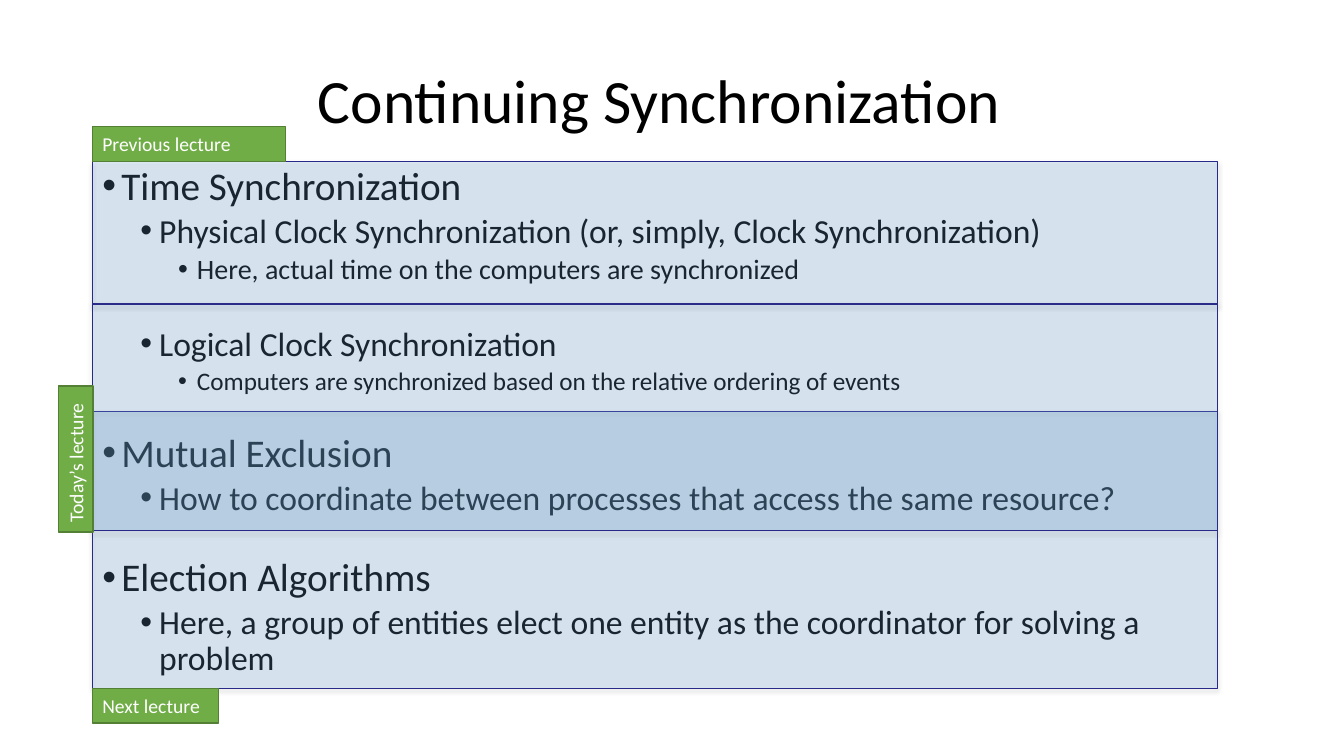
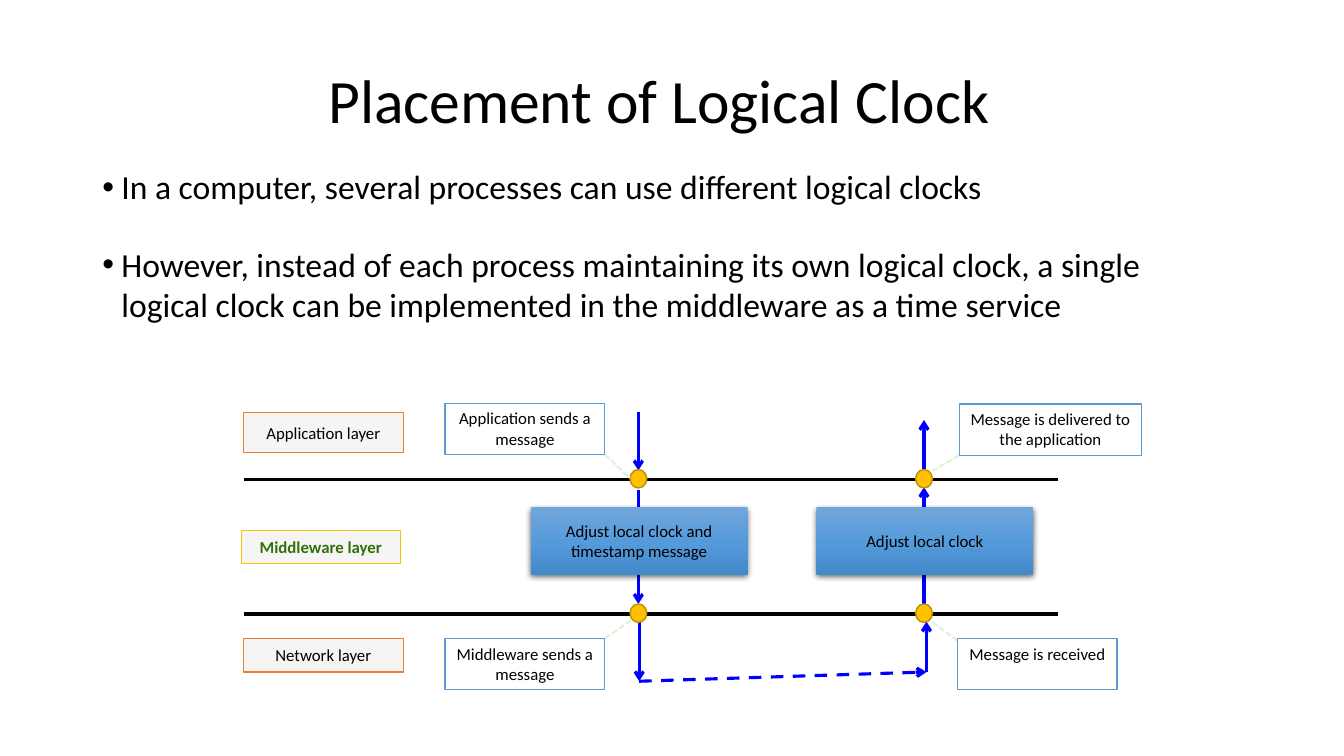
from copy import deepcopy
from lxml import etree
from pptx import Presentation
from pptx import util as u
from pptx.dml.color import RGBColor
from pptx.enum import dml, shapes, text
from pptx.oxml.ns import qn

# Colours
BLACK = RGBColor(0x00, 0x00, 0x00)
WHITE = RGBColor(0xFF, 0xFF, 0xFF)
BLUE = RGBColor(0x5B, 0x9B, 0xD5)
NAVY = RGBColor(0x29, 0x29, 0x89)
GREEN = RGBColor(0x70, 0xAD, 0x47)
DARK_GREEN = RGBColor(0x53, 0x80, 0x35)
TEXT_GREEN = RGBColor(0x33, 0x6F, 0x0A)
PALE_GREEN = RGBColor(0xE2, 0xF0, 0xD9)
GREY = RGBColor(0xF5, 0xF5, 0xF5)
ORANGE = RGBColor(0xED, 0x7D, 0x31)
GOLD = RGBColor(0xFF, 0xC0, 0x00)
DARK_GOLD = RGBColor(0xBD, 0x8E, 0x00)
ARROW_BLUE = RGBColor(0x00, 0x00, 0xFF)
GRADIENT = [(0, RGBColor(0x71, 0xA6, 0xDB)), (0.5, RGBColor(0x55, 0x9B, 0xDB)),
            (1, RGBColor(0x44, 0x8A, 0xCA))]

# Grid: 160 columns by 90 rows of square cells
CELL = u.Inches(1) / 12
FONT = "Calibri"
TITLE_AREA = (23, 3.6, 111, 17.4)
LEFT, BODY_TOP = 11, 19.2
RECT, OVAL = shapes.MSO_SHAPE.RECTANGLE, shapes.MSO_SHAPE.OVAL
TOP, MIDDLE = text.MSO_ANCHOR.TOP, text.MSO_ANCHOR.MIDDLE
CENTER, START = text.PP_ALIGN.CENTER, text.PP_ALIGN.LEFT
PANEL_SHADOW = ("808080", 38, 3.1, 1.6)
STEP_SHADOW = ("000000", 63, 4.5, 1.5)


def box(slide, area, fill, edge=None, weight=1, words="", size=12, color=BLACK,
        bold=False, anchor=MIDDLE, align=CENTER, kind=RECT, alpha=None, shadow=None):
    shape = slide.shapes.add_shape(kind, *(round(n * CELL) for n in area))
    shape.shadow.inherit = False
    properties = shape.element.spPr
    if isinstance(fill, list):
        shape.fill.gradient()
        shape.fill.gradient_angle = 270
        stop_list = properties.find(qn("a:gradFill")).find(qn("a:gsLst"))
        stop_list.insert(1, deepcopy(stop_list[0]))
        for stop, (position, shade) in zip(shape.fill.gradient_stops, fill):
            stop.position, stop.color.rgb = position, shade
    else:
        shape.fill.solid()
        shape.fill.fore_color.rgb = fill
    if alpha:
        solid = properties.find(qn("a:solidFill"))
        etree.SubElement(solid[0], qn("a:alpha"), val=str(alpha * 1000))
    if edge is None:
        shape.line.fill.background()
    else:
        shape.line.color.rgb = edge
        shape.line.width = u.Pt(weight)
    if shadow:
        shade, opacity, blur, distance = shadow
        outer = etree.SubElement(properties.find(qn("a:effectLst")), qn("a:outerShdw"),
                                 blurRad=str(u.Pt(blur)), dist=str(u.Pt(distance)),
                                 dir="5400000", algn="t", rotWithShape="0")
        tone = etree.SubElement(outer, qn("a:srgbClr"), val=shade)
        etree.SubElement(tone, qn("a:alpha"), val=str(opacity * 1000))
    if words:
        frame = shape.text_frame
        frame.text, frame.vertical_anchor = words, anchor
        paragraph = frame.paragraphs[0]
        paragraph.alignment = align
        paragraph.font.color.rgb = color
        for name, value in {"name": FONT, "size": u.Pt(size), "bold": bold}.items():
            setattr(paragraph.font, name, value)
    return shape


def line(slide, start, end, color, weight, dash=None, arrow=False):
    connector = slide.shapes.add_connector(
        shapes.MSO_CONNECTOR.STRAIGHT, *(round(n * CELL) for n in (*start, *end)))
    connector.line.color.rgb = color
    connector.line.width = u.Pt(weight)
    if dash:
        connector.line.dash_style = dash
    properties = connector.element.spPr
    if arrow:
        etree.SubElement(properties.find(qn("a:ln")), qn("a:tailEnd"), type="arrow")
    etree.SubElement(properties, qn("a:effectLst"))


prs = Presentation()
prs.slide_width, prs.slide_height = round(160 * CELL), round(90 * CELL)

# Titles and lists: (level, size, space before, words)
pages = [
    ("Continuing Synchronization", (LEFT, BODY_TOP, 134, 69),
     {"line_spacing": 0.9, "space_after": u.Pt(0)}, [
        (0, 28, 7.5, "Time Synchronization"),
        (1, 24, 3.8, "Physical Clock Synchronization (or, simply, Clock Synchronization)"),
        (2, 20, 3.8, "Here, actual time on the computers are synchronized"),
        (1, 24, 29.6, "Logical Clock Synchronization"),
        (2, 18, 3.8, "Computers are synchronized based on the relative ordering of events"),
        (0, 28, 26.7, "Mutual Exclusion"),
        (1, 24, 3.8, "How to coordinate between processes that access the same resource?"),
        (0, 28, 28.9, "Election Algorithms"),
        (1, 24, 3.8, "Here, a group of entities elect one entity as the coordinator "
                     "for solving a problem")]),
    ("Placement of Logical Clock", (LEFT, BODY_TOP, 136, 59.4),
     {"line_spacing": 1.0, "space_after": u.Pt(6)}, [
        (0, 24, 6, "In a computer, several processes can use different logical clocks"),
        (0, 24, 20.4, "However, instead of each process maintaining its own logical clock, "
                      "a single logical clock can be implemented in the middleware as a "
                      "time service")]),
]
for heading, body_area, spacing, items in pages:
    slide = prs.slides.add_slide(prs.slide_layouts[1])
    title, body = slide.shapes.title, slide.placeholders[1]
    for holder, area, anchor in ((title, TITLE_AREA, MIDDLE), (body, body_area, TOP)):
        for side, cells in zip(("left", "top", "width", "height"), area):
            setattr(holder, side, round(cells * CELL))
        holder.text_frame.auto_size = text.MSO_AUTO_SIZE.NONE
        holder.text_frame.vertical_anchor = anchor
    title.text_frame.text = heading
    title_line = title.text_frame.paragraphs[0]
    title_line.alignment, title_line.line_spacing = CENTER, 0.9
    title_line.font.name, title_line.font.size = FONT, u.Pt(44)
    title_line.font.color.rgb = BLACK
    body.text_frame.text = "\n".join(words for *_, words in items)
    for paragraph, (level, size, before, _) in zip(body.text_frame.paragraphs, items):
        look = {"level": level, "alignment": START, "space_before": u.Pt(before), **spacing}
        for name, value in look.items():
            setattr(paragraph, name, value)
        paragraph.font.name, paragraph.font.size = FONT, u.Pt(size)
        paragraph.font.color.rgb = BLACK
        bullet = paragraph._p.get_or_add_pPr()
        bullet.set("marL", str(u.Pt(13.5 + 27 * level)))
        bullet.set("indent", str(-u.Pt(13.5)))
        font_mark = etree.Element(qn("a:buFont"), typeface="Arial")
        char_mark = etree.Element(qn("a:buChar"), char="•")
        position = sum(child.tag in (qn("a:lnSpc"), qn("a:spcBef"), qn("a:spcAft"))
                       for child in bullet)
        bullet.insert(position, font_mark)
        bullet.insert(position + 1, char_mark)

agenda, placement = prs.slides

# Agenda: translucent lecture panels; the overlap marks today's topic
for top, height in ((BODY_TOP, 17), (49, 33), (36.2, 27)):
    box(agenda, (LEFT, top, 134, height), BLUE, NAVY, 0.75, alpha=20, shadow=PANEL_SHADOW)

# Agenda: lecture tabs
for area, turn, words in (((LEFT, 15.1, 23, 4.1), 0, "Previous lecture"),
                          ((LEFT, 82, 15, 4.1), 0, "Next lecture"),
                          ((0.35, 52.6, 17.4, 4.1), 270, "Today’s lecture")):
    tab = box(agenda, area, GREEN, DARK_GREEN, words=words, size=14, color=WHITE,
              anchor=TOP, align=START)
    tab.rotation = turn

# Placement: layer names and boundaries
SENDER, RECEIVER = 76, 110
UPPER, LOWER = 57.1, 73.1
for area, edge, color, words in (
        ((29, 76, 19, 4), ORANGE, BLACK, "Network layer"),
        ((28.7, 63.1, 19, 4), GOLD, TEXT_GREEN, "Middleware layer"),
        ((29, 49.1, 19, 4.8), ORANGE, BLACK, "Application layer")):
    box(placement, area, GREY, edge, 0.75, words, color=color, bold=color == TEXT_GREEN)
for boundary in (UPPER, LOWER):
    line(placement, (29, boundary), (126, boundary), BLACK, 2.25)

# Placement: message path down the sender, across and up the receiver
for x, start, end in ((SENDER, 49.1, 56), (SENDER, 58.3, 71.9), (SENDER + 0.1, 74, 81.1),
                      (RECEIVER + 0.3, 80, 74), (RECEIVER, 72.1, 58), (RECEIVER, 55.8, 50)):
    line(placement, (x, start), (x, end), ARROW_BLUE, 2.25, arrow=True)
line(placement, (SENDER + 0.1, 81.1), (RECEIVER + 0.3, 80), ARROW_BLUE, 2.25,
     dml.MSO_LINE.DASH, True)
for x, words in ((SENDER, "Adjust local clock and timestamp message"),
                 (RECEIVER, "Adjust local clock")):
    box(placement, (x - 12.8, 60.4, 25.8, 8), GRADIENT, words=words, shadow=STEP_SHADOW)
    for boundary in (UPPER, LOWER):
        box(placement, (x - 1, boundary - 1.2, 2, 2.2), GOLD, DARK_GOLD, kind=OVAL)

# Placement: callouts with their leaders
for area, corner, event, words in (
        ((53, 48, 19, 6.1), (72, 54.1), (75, 56.9), "Application sends a message"),
        ((53, 76, 19, 6.1), (72, 76), (75.2, 73.8), "Middleware sends a message"),
        ((114, 76, 19, 6.1), (114, 76.3), (110.8, 73.9), "Message is received"),
        ((114.2, 48.1, 21.7, 6.1), (114.2, 54.2), (110.8, 56.2),
         "Message is delivered to the application")):
    line(placement, corner, event, PALE_GREEN, 1.5, dml.MSO_LINE.SQUARE_DOT)
    box(placement, area, WHITE, BLUE, words=words, anchor=TOP)

prs.save("out.pptx")
